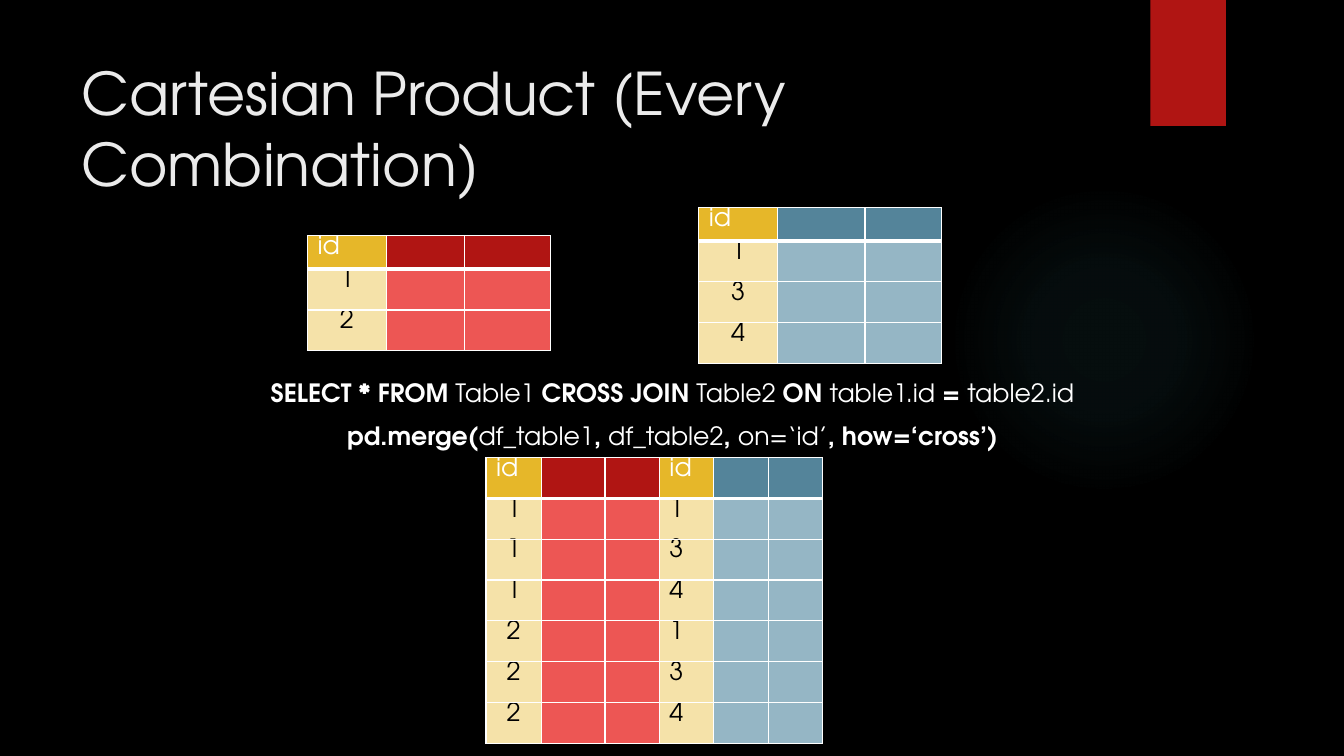
import itertools

import pptx
import pptx.dml.color
import pptx.enum.shapes
import pptx.enum.text
import pptx.oxml
import pptx.oxml.ns
import pptx.util
from pptx.util import Inches

FONT = "TeX Gyre Adventor"
COLORS = {
    "background": "000000", "title": "EBEBEB", "white": "FFFFFF", "black": "000000",
    "ribbon": "B01513", "glow": "50B9C1",
    "key_head": "E6B729", "key_body": "F5E2A9",
    "left_head": "B01513", "left_body": "ED5654",
    "right_head": "54849A", "right_body": "95B6C5",
}
HEADER_LINE, GRID_LINE = 3, 1
ROW_HEIGHT = 0.405
LEFT_KEYS, RIGHT_KEYS = ["1", "2"], ["1", "3", "4"]
CENTER = pptx.enum.text.PP_ALIGN.CENTER
LEFT = pptx.enum.text.PP_ALIGN.LEFT


def rgb(name):
    return pptx.dml.color.RGBColor.from_string(COLORS[name])


def style_font(font, color, size=18, bold=False):
    font.name = FONT
    font.size = pptx.util.Pt(size)
    font.bold = bold
    font.color.rgb = rgb(color)


def add_backdrop(page):
    """Black background, soft glow and red ribbon."""
    page.background.fill.solid()
    page.background.fill.fore_color.rgb = rgb("background")
    shapes = pptx.enum.shapes.MSO_SHAPE

    glow = page.shapes.add_shape(shapes.OVAL, Inches(9.41), Inches(1.83), Inches(3.08), Inches(3.08))
    glow.shadow.inherit = False
    glow.line.fill.background()
    stops = "".join(
        f'<a:gs pos="{place * 1000}"><a:srgbClr val="{COLORS["glow"]}">'
        f'<a:alpha val="{alpha * 1000}"/></a:srgbClr></a:gs>'
        for place, alpha in [(0, 7), (36, 6), (69, 0), (100, 0)])
    gradient = pptx.oxml.parse_xml(
        f'<a:gradFill {pptx.oxml.ns.nsdecls("a")}><a:gsLst>{stops}</a:gsLst><a:path path="circle">'
        '<a:fillToRect l="50000" t="50000" r="50000" b="50000"/></a:path></a:gradFill>')
    glow.element.spPr.find(pptx.oxml.ns.qn("a:prstGeom")).addnext(gradient)

    ribbon = page.shapes.add_shape(shapes.RECTANGLE, Inches(11.41), 0, Inches(0.75), Inches(1.25))
    ribbon.shadow.inherit = False
    ribbon.fill.solid()
    ribbon.fill.fore_color.rgb = rgb("ribbon")
    ribbon.line.fill.background()


def add_title(page, left, top, width, height, text):
    box = page.shapes.add_textbox(Inches(left), Inches(top), Inches(width), Inches(height))
    frame = box.text_frame
    frame.word_wrap = True
    frame.vertical_anchor = pptx.enum.text.MSO_ANCHOR.MIDDLE
    frame.text = text
    style_font(frame.paragraphs[0].runs[0].font, "title", 42)


def add_code_line(page, left, top, width, height, pieces):
    """One centred line whose pieces alternate between bold and regular."""
    box = page.shapes.add_textbox(Inches(left), Inches(top), Inches(width), Inches(height))
    box.text_frame.word_wrap = True
    para = box.text_frame.paragraphs[0]
    para.alignment = CENTER
    for index, piece in enumerate(pieces):
        span = para.add_run()
        span.text = piece
        style_font(span.font, "white", bold=index % 2 == 0)


def style_cell(cell, fill, color, align, header):
    cell.margin_top = cell.margin_bottom = 0
    para = cell.text_frame.paragraphs[0]
    para.alignment = align
    style_font(para.font, color)
    for span in para.runs:
        style_font(span.font, color)
    properties = cell._tc.get_or_add_tcPr()
    for side in "LRTB":
        points = HEADER_LINE if header and side == "B" else GRID_LINE
        properties.append(pptx.oxml.parse_xml(
            f'<a:ln{side} {pptx.oxml.ns.nsdecls("a")} w="{pptx.util.Pt(points)}"><a:solidFill>'
            f'<a:srgbClr val="{COLORS["white"]}"/></a:solidFill></a:ln{side}>'))
    cell.fill.solid()
    cell.fill.fore_color.rgb = rgb(fill)


def add_id_table(page, left, top, widths, header_height, sides, key_rows):
    """Each side is a key column followed by two empty columns in its colour."""
    kinds = [kind for side in sides for kind in ("key", side, side)]
    height = header_height + ROW_HEIGHT * len(key_rows)
    table = page.shapes.add_table(len(key_rows) + 1, len(kinds), Inches(left), Inches(top),
                                  Inches(sum(widths)), Inches(height)).table
    table.first_row = table.horz_banding = False
    for column, width in zip(table.columns, widths):
        column.width = Inches(width)
    for number, keys in enumerate([["id"] * len(sides)] + key_rows):
        header = number == 0
        table.rows[number].height = Inches(header_height if header else ROW_HEIGHT)
        for index, kind in enumerate(kinds):
            cell = table.cell(number, index)
            if kind == "key":
                cell.text_frame.text = keys[index // 3]
            style_cell(cell, f"{kind}_{'head' if header else 'body'}",
                       "white" if header else "black",
                       CENTER if index == 0 and not header else LEFT, header)


def build_slide(page):
    add_backdrop(page)
    add_title(page, 0.71, 0.5, 10.29, 1.53, "Cartesian Product (Every Combination)")

    # Source tables
    add_id_table(page, 3.05, 2.34, [0.78, 0.78, 0.85], 0.33, ["left"], [[key] for key in LEFT_KEYS])
    add_id_table(page, 6.93, 2.06, [0.78, 0.87, 0.76], 0.33, ["right"], [[key] for key in RIGHT_KEYS])

    # Query in SQL and in pandas
    add_code_line(page, 2.06, 3.69, 9.22, 0.4,
                  ["SELECT * FROM", " Table1 ", "CROSS JOIN ", "Table2 ", "ON ",
                   "table1.id ", "= ", "table2.id"])
    add_code_line(page, 2.06, 4.12, 9.22, 0.4,
                  ["pd.merge(", "df_table1", ", ", "df_table2", ", ", "on=‘id’", ", how=‘cross’)"])

    # Every pairing of the two key columns
    add_id_table(page, 4.82, 4.54, [0.55, 0.63] + [0.54] * 4, ROW_HEIGHT, ["left", "right"],
                 list(itertools.product(LEFT_KEYS, RIGHT_KEYS)))


def main():
    deck = pptx.Presentation()
    deck.slide_width, deck.slide_height = Inches(13.33), Inches(7.5)
    build_slide(deck.slides.add_slide(deck.slide_layouts[6]))
    deck.save("out.pptx")


if __name__ == "__main__":
    main()
